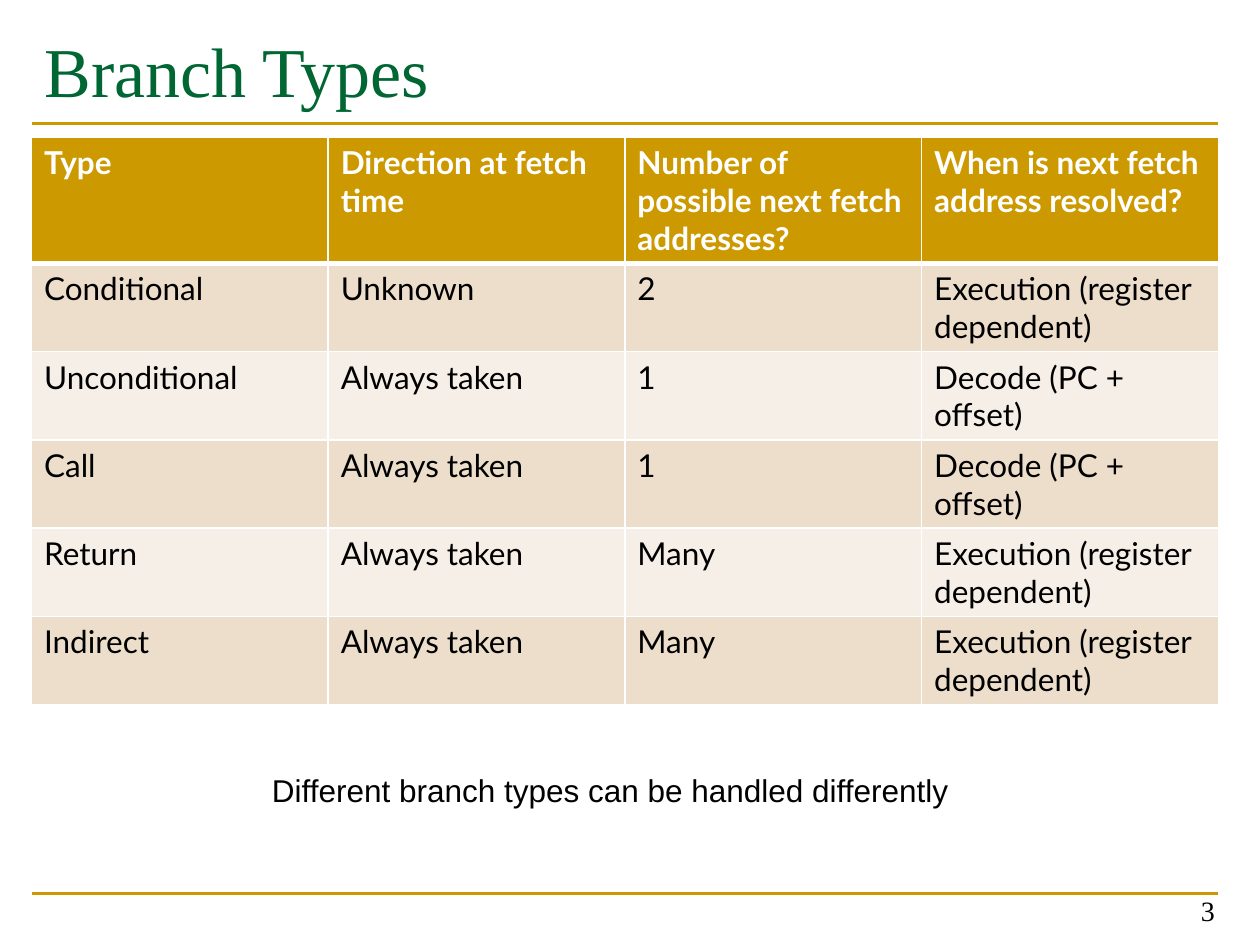
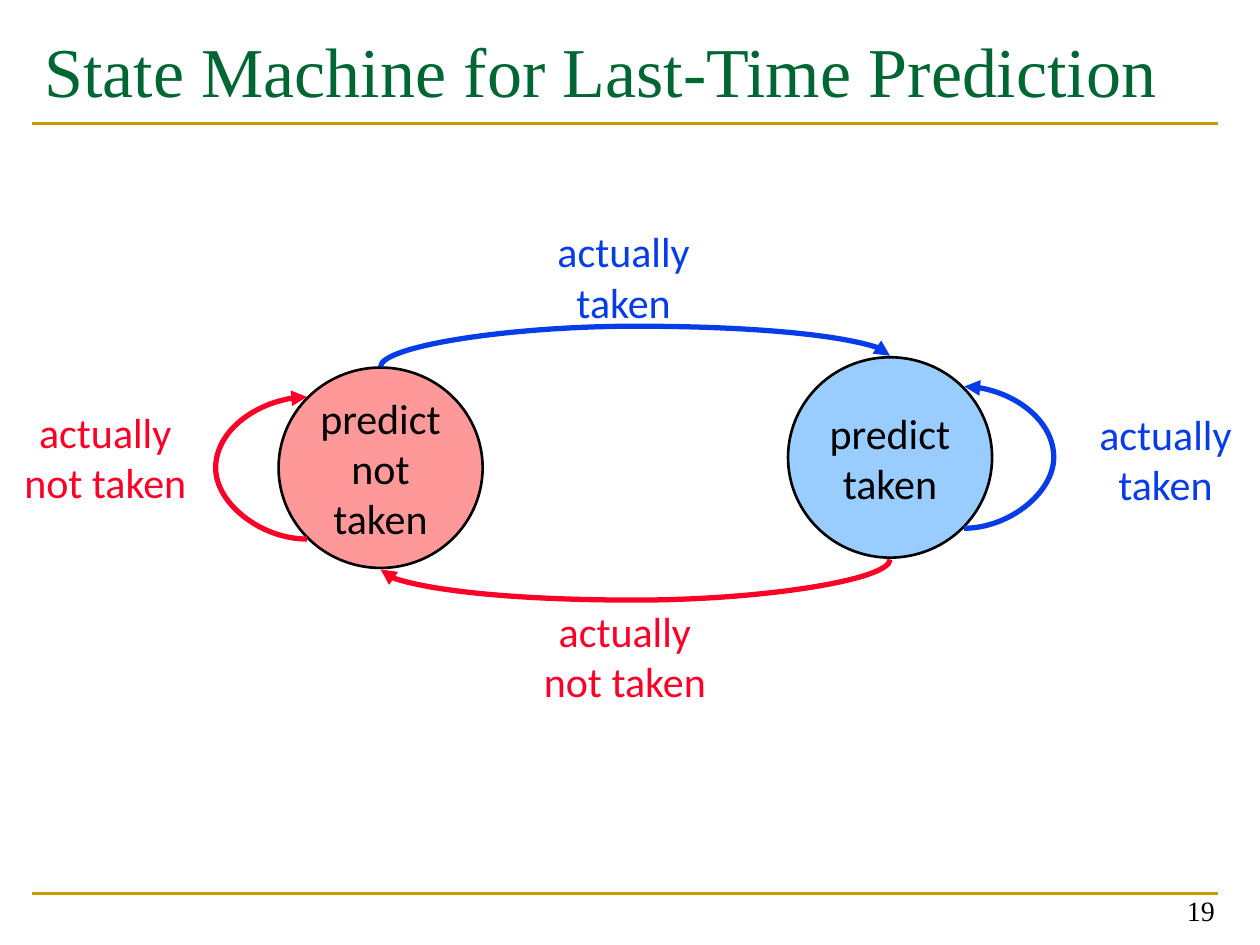
from lxml.etree import SubElement
from pptx import Presentation
from pptx.dml.color import RGBColor
from pptx.enum.shapes import MSO_CONNECTOR as CONN, MSO_SHAPE as SHAPE
from pptx.enum.text import MSO_ANCHOR as ANCHOR, PP_ALIGN as ALIGN
from pptx.oxml.ns import qn
from pptx.util import Pt

WHITE = RGBColor(0xFF, 0xFF, 0xFF)
BLACK = RGBColor(0, 0, 0)
GOLD = RGBColor(0xCC, 0x99, 0x00)
GREEN = RGBColor(0x00, 0x66, 0x33)
BAND_DARK = RGBColor(0xEC, 0xDE, 0xCB)
BAND_LIGHT = RGBColor(0xF6, 0xEF, 0xE7)
RED = RGBColor(0xFC, 0x01, 0x28)
BLUE = RGBColor(0x06, 0x3D, 0xE8)
PINK = RGBColor(0xFF, 0x99, 0x99)
SKY = RGBColor(0x99, 0xCC, 0xFF)

SERIF, SANS, TABLE_FONT, STATE_FONT = "Times New Roman", "Arial", "Lato", "Calibri"
LEFT, WIDTH = 18, 678.2
RULES = (70.6, 510.5)

BRANCH_ROWS = [
    ("Type", "Direction at fetch time", "Number of possible next fetch addresses?",
     "When is next fetch address resolved?"),
    ("Conditional", "Unknown", "2", "Execution (register dependent)"),
    ("Unconditional", "Always taken", "1", "Decode (PC + offset)"),
    ("Call", "Always taken", "1", "Decode (PC + offset)"),
    ("Return", "Always taken", "Many", "Execution (register dependent)"),
    ("Indirect", "Always taken", "Many", "Execution (register dependent)"),
]
TABLE_TOP, HEAD_H, ROW_H = 78.5, 72, 50.4

STATE_W, STATE_H = 116.6, 114.5
STATES = [
    (["predict", "taken"], 508.6, 261.4, SKY),
    (["predict", "not", "taken"], 217.5, 267.3, PINK),
]

TAKEN, NOT_TAKEN = ["actually", "taken"], ["actually", "not taken"]
LABEL_H = 65.5
LABEL_W = {BLUE: 90.7, RED: 108}
TRANSITIONS = [
    (NOT_TAKEN, RED, (508.6, 319.7), (217.5, 325.4), 90, "", 20.4, (357.1, 342.4)),
    (TAKEN, BLUE, (217.5, 209.5), (508.6, 203.3), 270, "", 20, (356.4, 125.5)),
    (TAKEN, BLUE, (550.9, 301.9), (551.03, 220.9), 0, "v", 47, (666, 229.7)),
    (NOT_TAKEN, RED, (175.3, 308), (175.43, 226.8), 180, "h", -47.8, (60.2, 228.5)),
]


def write(tf, lines, font=SANS, size=18, color=BLACK, bold=False,
          align=ALIGN.LEFT, anchor=ANCHOR.TOP, wrap=True):
    tf.word_wrap = wrap
    tf.vertical_anchor = anchor
    for i, line in enumerate(lines):
        p = tf.paragraphs[0] if i == 0 else tf.add_paragraph()
        p.alignment = align
        r = p.add_run()
        r.text = line
        f = r.font
        f.name, f.size, f.bold = font, Pt(size), bold
        f.color.rgb = color


def add_text(shapes, x, y, w, h, lines, **fmt):
    sp = shapes.add_textbox(Pt(x), Pt(y), Pt(w), Pt(h))
    write(sp.text_frame, lines, **fmt)


def add_line(shapes, kind, x1, y1, x2, y2, color, weight):
    cx = shapes.add_connector(kind, Pt(x1), Pt(y1), Pt(x2), Pt(y2))
    cx.line.color.rgb = color
    cx.line.width = Pt(weight)
    SubElement(cx._element.spPr, qn("a:effectLst"))
    return cx


def add_slide(prs, title, number):
    s = prs.slides.add_slide(prs.slide_layouts[6])
    for y in RULES:
        add_line(s.shapes, CONN.STRAIGHT, LEFT, y, LEFT + WIDTH, y, GOLD, 1.5)
    add_text(s.shapes, LEFT + 0.4, 12.2, WIDTH, 84.2, [title], font=SERIF, size=40, color=GREEN)
    add_text(s.shapes, 533.5, 497.5, 167.8, 36, [str(number)], font=SERIF, size=16,
             align=ALIGN.RIGHT, anchor=ANCHOR.BOTTOM)
    return s


def add_border(cell, side, weight):
    ln = SubElement(cell._tc.get_or_add_tcPr(), qn(f"a:ln{side}"), w=str(Pt(weight)))
    SubElement(SubElement(ln, qn("a:solidFill")), qn("a:srgbClr"), val=str(WHITE))


def add_branch_table(s):
    n_rows, n_cols = len(BRANCH_ROWS), len(BRANCH_ROWS[0])
    height = HEAD_H + ROW_H * (n_rows - 1)
    table = s.shapes.add_table(n_rows, n_cols, Pt(LEFT), Pt(TABLE_TOP), Pt(WIDTH), Pt(height)).table
    for col in table.columns:
        col.width = Pt(WIDTH / n_cols)
    for i, texts in enumerate(BRANCH_ROWS):
        head = i == 0
        table.rows[i].height = Pt(HEAD_H if head else ROW_H)
        for j, text in enumerate(texts):
            cell = table.cell(i, j)
            write(cell.text_frame, [text], font=TABLE_FONT, bold=head,
                  color=WHITE if head else BLACK)
            for side in "LRTB":
                thick = (i, side) in ((0, "B"), (1, "T"))
                add_border(cell, side, 3 if thick else 1)
            cell.fill.solid()
            cell.fill.fore_color.rgb = GOLD if head else (BAND_LIGHT, BAND_DARK)[i % 2]


def add_state(s, lines, cx, cy, fill):
    sp = s.shapes.add_shape(SHAPE.OVAL, Pt(cx - STATE_W / 2), Pt(cy - STATE_H / 2),
                            Pt(STATE_W), Pt(STATE_H))
    sp.shadow.inherit = False
    sp.fill.solid()
    sp.fill.fore_color.rgb = fill
    sp.line.color.rgb = BLACK
    sp.line.width = Pt(1.5)
    write(sp.text_frame, lines, font=STATE_FONT, size=24, align=ALIGN.CENTER,
          anchor=ANCHOR.MIDDLE, wrap=False)


def add_transition(s, lines, color, start, end, turn, flip, depth, label):
    group = s.shapes.add_group_shape().shapes
    (x1, y1), (x2, y2) = start, end
    mx, my = (x1 + x2) / 2, (y1 + y2) / 2
    w, h = abs(x2 - x1), abs(y2 - y1)
    sideways = turn in (90, 270)
    if sideways:
        w, h = h, w
    dx = -w / 2 if flip == "h" else w / 2
    dy = -h / 2 if flip == "v" else h / 2
    cx = add_line(group, CONN.CURVE, mx - dx, my - dy, mx + dx, my + dy, color, 3)
    sp_pr = cx._element.spPr
    if turn:
        sp_pr.find(qn("a:xfrm")).set("rot", str(turn * 60000))
    bend = round((depth / w + (0.5 if sideways else 0)) * 100000)
    guides = sp_pr.find(qn("a:prstGeom")).find(qn("a:avLst"))
    SubElement(guides, qn("a:gd"), name="adj1", fmla=f"val {bend}")
    SubElement(sp_pr.find(qn("a:ln")), qn("a:tailEnd"), type="triangle")
    lx, ly = label
    width = LABEL_W[color]
    add_text(group, lx - width / 2, ly, width, LABEL_H, lines, font=STATE_FONT, size=24,
             color=color, align=ALIGN.CENTER, wrap=False)


def main():
    prs = Presentation()
    prs.slide_width, prs.slide_height = Pt(720), Pt(540)

    s = add_slide(prs, "Branch Types", 3)
    add_branch_table(s)
    add_text(s.shapes, 148.3, 437, 404.6, 28.8,
             ["Different branch types can be handled differently"], wrap=False)

    s = add_slide(prs, "State Machine for Last-Time Prediction", 19)
    for state in STATES:
        add_state(s, *state)
    for transition in TRANSITIONS:
        add_transition(s, *transition)

    prs.save("out.pptx")


if __name__ == "__main__":
    main()
